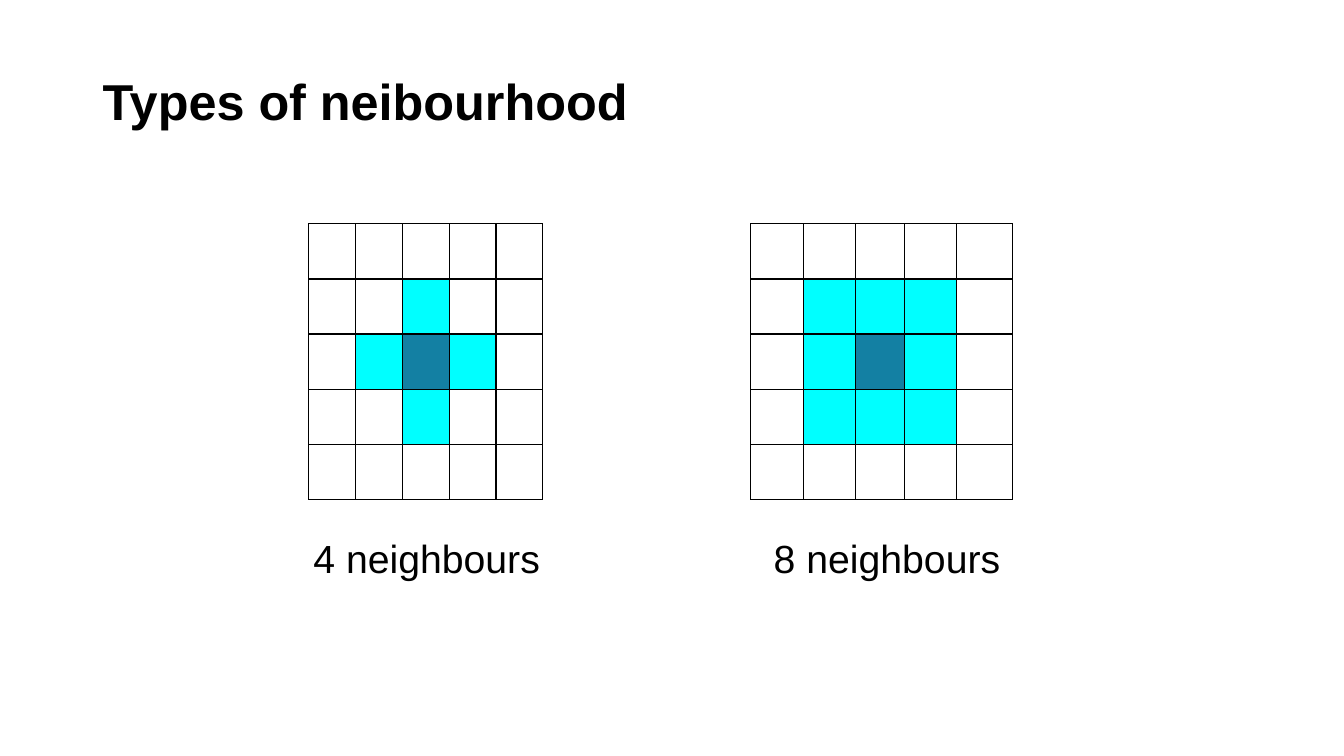
from lxml import etree
from pptx import Presentation
from pptx.dml.color import RGBColor
from pptx.enum.text import MSO_ANCHOR
from pptx.oxml.ns import qn
from pptx.util import Cm, Pt

ANCHOR_TOP = MSO_ANCHOR.TOP
ANCHOR_MIDDLE = MSO_ANCHOR.MIDDLE

BLACK = RGBColor(0x00, 0x00, 0x00)
CYAN = RGBColor(0x00, 0xFF, 0xFF)
TEAL = RGBColor(0x13, 0x80, 0xA3)

FONT = "Arial"
PLAIN_TABLE_STYLE = "{2D5ABB26-0587-4C30-8999-92F81FD0307C}"
COLUMN_WIDTHS = [1.18] * 6 + [3.92, 1.32, 1.32, 1.32, 1.23, 1.32, 1.4, 3.93]
ROW_COUNT = 8
ROW_HEIGHT = 1.39
GRID_ROWS = range(1, 6)
GRID_COLUMNS = (range(1, 6), range(8, 13))
CENTRE_ROW = 3
FOUR_CENTRE = 3
EIGHT_CENTRE = 10
SIDES = {"a:lnL": (0, -1), "a:lnR": (0, 1), "a:lnT": (-1, 0), "a:lnB": (1, 0)}


def add_text(slide, text, left, top, width, height, size, bold=False, anchor=ANCHOR_TOP):
    shape = slide.shapes.add_textbox(Cm(left), Cm(top), Cm(width), Cm(height))
    frame = shape.text_frame
    frame.word_wrap = True
    frame.vertical_anchor = anchor
    paragraph = frame.paragraphs[0]
    run = paragraph.add_run()
    run.text = text
    run.font.name = FONT
    run.font.size = Pt(size)
    run.font.bold = bold
    run.font.color.rgb = BLACK
    return paragraph


def in_grid(row, column):
    return row in GRID_ROWS and any(column in columns for columns in GRID_COLUMNS)


def cell_colour(row, column):
    down = abs(row - CENTRE_ROW)
    four_across = abs(column - FOUR_CENTRE)
    eight_across = abs(column - EIGHT_CENTRE)
    if down == 0 and 0 in (four_across, eight_across):
        return TEAL
    if down + four_across == 1 or max(down, eight_across) == 1:
        return CYAN
    return None


def set_borders(cell, row, column):
    properties = cell._tc.get_or_add_tcPr()
    for side, (row_step, column_step) in SIDES.items():
        line = etree.SubElement(properties, qn(side), w=str(Pt(1)))
        if in_grid(row, column) or in_grid(row + row_step, column + column_step):
            fill = etree.SubElement(line, qn("a:solidFill"))
            etree.SubElement(fill, qn("a:srgbClr"), val=str(BLACK))
        else:
            etree.SubElement(line, qn("a:noFill"))


def add_neighbourhood_table(slide):
    frame = slide.shapes.add_table(
        ROW_COUNT, len(COLUMN_WIDTHS), Cm(6.6), Cm(4.25),
        Cm(sum(COLUMN_WIDTHS)), Cm(ROW_COUNT * ROW_HEIGHT))
    table = frame.table
    table.first_row = False
    table.horz_banding = False
    table._tbl.tblPr.find(qn("a:tableStyleId")).text = PLAIN_TABLE_STYLE
    for column, width in zip(table.columns, COLUMN_WIDTHS):
        column.width = Cm(width)
    for row_index, row in enumerate(table.rows):
        row.height = Cm(ROW_HEIGHT)
        for column_index, cell in enumerate(row.cells):
            set_borders(cell, row_index, column_index)
            colour = cell_colour(row_index, column_index)
            if colour is None:
                cell.fill.background()
            else:
                cell.fill.solid()
                cell.fill.fore_color.rgb = colour


def main():
    presentation = Presentation()
    presentation.slide_width = Cm(33.87)
    presentation.slide_height = Cm(19.05)
    slide = presentation.slides.add_slide(presentation.slide_layouts[6])
    title = add_text(slide, "Types of neibourhood", 2.34, 1.01, 14.76, 3.23, 36, True, ANCHOR_MIDDLE)
    title.line_spacing = 0.9
    add_neighbourhood_table(slide)
    for label, left in (("4 neighbours", 7.65), ("8 neighbours", 19.25)):
        add_text(slide, label, left, 13.34, 7.26, 2.21, 28)
    presentation.save("out.pptx")


if __name__ == "__main__":
    main()
